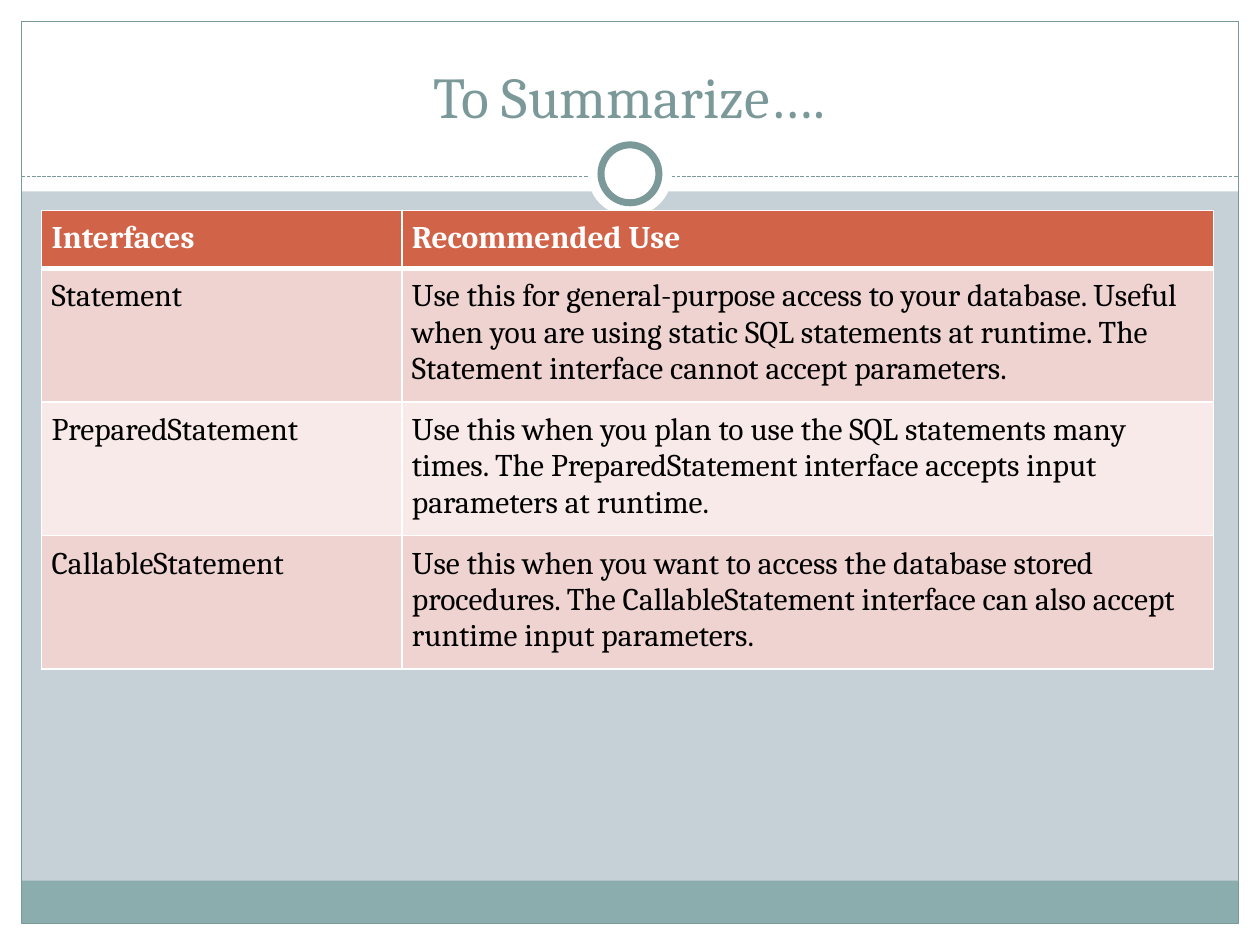
import pptx
import pptx.util
import pptx.dml.color
import pptx.enum.dml
import pptx.enum.shapes
import pptx.enum.text
import pptx.oxml
import pptx.oxml.ns
import lxml.etree

# Content
TITLE = "To Summarize…."
ROWS = [
    ("Interfaces", "Recommended Use"),
    ("Statement", "Use this for general-purpose access to your database. Useful when you are "
     "using static SQL statements at runtime. The Statement interface cannot accept parameters."),
    ("PreparedStatement", "Use this when you plan to use the SQL statements many times. "
     "The PreparedStatement interface accepts input parameters at runtime."),
    ("CallableStatement", "Use this when you want to access the database stored procedures. "
     "The CallableStatement interface can also accept runtime input parameters."),
]

THEME = dict(font="Cambria", title=33, body=18, back="C5D1D7", white="FFFFFF", black="000000",
             teal="7C999A", foot="8CADAE", head="D16349", bands=("EED3D0", "F7EAE9"))

# Layout, in inches
WIDE, HIGH = 10, 7.5
EDGE = 0.17
RULE = 1.4
BAND = 1.52
FOOT = 0.34
COLS = (2.86, 6.44)
TALL = (0.45, 1.03, 1.03, 1.03)

inch = pptx.util.Inches
SHAPE = pptx.enum.shapes.MSO_SHAPE


def tint(name):
    return pptx.dml.color.RGBColor.from_string(THEME.get(name, name))


def add(slide, kind, box, fill=None, line=None, width=0.75):
    part = slide.shapes.add_shape(kind, *map(inch, box))
    part.shadow.inherit = False
    if fill:
        part.fill.solid()
        part.fill.fore_color.rgb = tint(fill)
    else:
        part.fill.background()
    if line:
        part.line.color.rgb = tint(line)
        part.line.width = pptx.util.Pt(width)
    else:
        part.line.fill.background()


def style(para, size, color, bold=False):
    para.font.name = THEME["font"]
    para.font.size = pptx.util.Pt(THEME[size])
    para.font.bold = bold
    para.font.color.rgb = tint(color)


def border(cell, top, bottom):
    props = cell._tc.get_or_add_tcPr()
    sides = (("L", 1), ("R", 1), ("T", top), ("B", bottom))
    for spot, (side, width) in enumerate(sides):
        props.insert(spot, pptx.oxml.parse_xml(
            f'<a:ln{side} {pptx.oxml.ns.nsdecls("a")} w="{pptx.util.Pt(width)}">'
            f'<a:solidFill><a:srgbClr val="{THEME["white"]}"/></a:solidFill></a:ln{side}>'))


def frame(slide):
    # White margins, footer band and outline
    inner = WIDE - 2 * EDGE
    for box in ((0, HIGH - EDGE, WIDE, EDGE), (0, 0, WIDE, BAND),
                (0, 0, EDGE, HIGH), (WIDE - EDGE, 0, EDGE, HIGH)):
        add(slide, SHAPE.RECTANGLE, box, "white")
    add(slide, SHAPE.RECTANGLE, (EDGE, HIGH - EDGE - FOOT, inner, FOOT), "foot")
    add(slide, SHAPE.RECTANGLE, (EDGE, EDGE, inner, HIGH - 2 * EDGE), line="teal")

    # Dashed rule
    rule = slide.shapes.add_connector(
        pptx.enum.shapes.MSO_CONNECTOR.STRAIGHT,
        *map(inch, (EDGE, RULE, WIDE - EDGE, RULE)))
    rule.line.color.rgb = tint("teal")
    rule.line.width = pptx.util.Pt(0.75)
    rule.line.dash_style = pptx.enum.dml.MSO_LINE.SQUARE_DOT
    props = rule._element.spPr
    lxml.etree.SubElement(props, pptx.oxml.ns.qn("a:effectLst"))
    props.find(".//" + pptx.oxml.ns.qn("a:prstDash")).set("val", "sysDash")

    # Ring on a white disc
    for size, line in ((0.67, None), (0.46, "teal")):
        add(slide, SHAPE.OVAL, ((WIDE - size) / 2, 1.38 - size / 2, size, size),
            "white", line, 4)


def title(slide):
    box = slide.shapes.add_textbox(*map(inch, (0.33, 0.25, 9.33, 0.83)))
    text = box.text_frame
    text.word_wrap = True
    text.vertical_anchor = pptx.enum.text.MSO_ANCHOR.BOTTOM
    text.text = TITLE
    para = text.paragraphs[0]
    para.alignment = pptx.enum.text.PP_ALIGN.CENTER
    style(para, "title", "teal")


def table(slide):
    grid = slide.shapes.add_table(len(ROWS), len(COLS), *map(
        inch, (0.33, 1.67, sum(COLS), sum(TALL)))).table
    for col, width in zip(grid.columns, COLS):
        col.width = inch(width)
    for r, texts in enumerate(ROWS):
        grid.rows[r].height = inch(TALL[r])
        head = r == 0
        for c, text in enumerate(texts):
            cell = grid.cell(r, c)
            cell.text = text
            cell.margin_left = cell.margin_right = inch(0.08)
            cell.margin_top = cell.margin_bottom = inch(0.08)
            cell.fill.solid()
            cell.fill.fore_color.rgb = tint("head" if head else THEME["bands"][(r - 1) % 2])
            border(cell, 3 if r == 1 else 1, 3 if head else 1)
            style(cell.text_frame.paragraphs[0], "body", "white" if head else "black", head)


def main():
    deck = pptx.Presentation()
    deck.slide_width, deck.slide_height = inch(WIDE), inch(HIGH)
    slide = deck.slides.add_slide(deck.slide_layouts[6])
    slide.background.fill.solid()
    slide.background.fill.fore_color.rgb = tint("back")
    frame(slide)
    title(slide)
    table(slide)
    deck.save("out.pptx")


if __name__ == "__main__":
    main()
